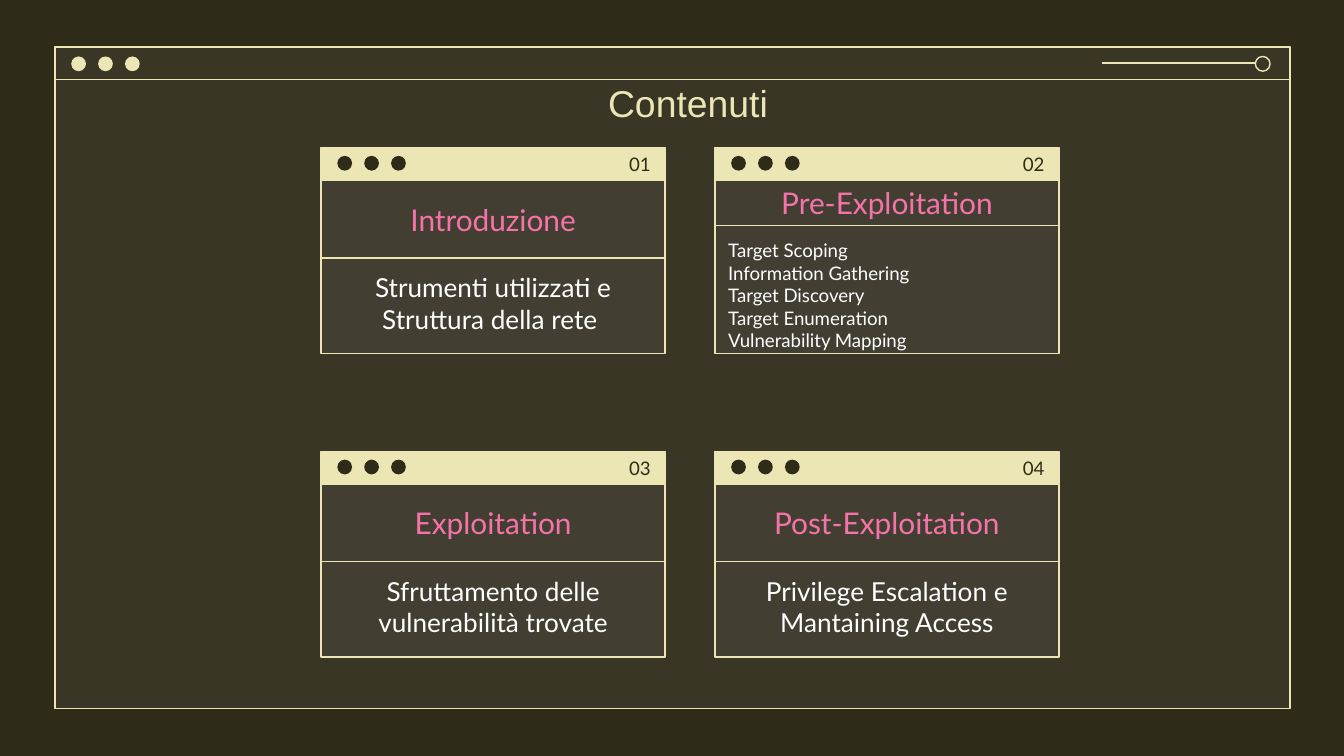
from lxml import etree
from pptx import Presentation
from pptx.dml.color import RGBColor
from pptx.enum.shapes import MSO_CONNECTOR, MSO_SHAPE
from pptx.enum.text import MSO_ANCHOR as Anchor, PP_ALIGN as Align
from pptx.oxml.ns import qn
from pptx.util import Inches, Pt

COLORS = {
    "background": "2F2B19",
    "cream": "ECE5B4",
    "pane": "7C7C7C",
    "pink": "F673A9",
    "white": "FFFFFF",
}
BAR_HEIGHT = 0.24
DOT_SIZE = 0.11
DOT_STEP = 0.2
CARD_WIDTH = 2.56


def rgb(name):
    return RGBColor.from_string(COLORS[name])


def write_text(shape, text, size=14, color="white", font="Lato",
               align=Align.CENTER, anchor=Anchor.TOP, margins=(0.1, 0.1)):
    """Fill a shape with one paragraph per line; margins are (sides, top and bottom)."""
    frame = shape.text_frame
    frame.word_wrap = True
    frame.vertical_anchor = anchor
    frame.margin_left = frame.margin_right = Inches(margins[0])
    frame.margin_top = frame.margin_bottom = Inches(margins[1])
    frame.text = text
    for paragraph in frame.paragraphs:
        paragraph.alignment = align
        for run in paragraph.runs:
            run.font.size = Pt(size)
            run.font.name = font
            run.font.color.rgb = rgb(color)


class WindowSlide:
    """Draws elements in the style of desktop windows on one slide."""

    def __init__(self, slide):
        self.slide = slide
        self.shapes = slide.shapes
        slide.background.fill.solid()
        slide.background.fill.fore_color.rgb = rgb("background")

    def shape(self, kind, left, top, width, height, fill=None, line=None, opacity=None):
        shape = self.shapes.add_shape(
            kind, Inches(left), Inches(top), Inches(width), Inches(height))
        shape.shadow.inherit = False
        if fill:
            shape.fill.solid()
            shape.fill.fore_color.rgb = rgb(fill)
        else:
            shape.fill.background()
        if opacity:
            tint = shape.fill._xPr.find(".//" + qn("a:srgbClr"))
            etree.SubElement(tint, qn("a:alpha"), val=str(opacity * 1000))
        if line:
            shape.line.color.rgb = rgb(line)
            shape.line.width = Pt(0.75)
        else:
            shape.line.fill.background()
        return shape

    def box(self, *place, **style):
        return self.shape(MSO_SHAPE.RECTANGLE, *place, **style)

    def circle(self, left, top, **style):
        return self.shape(MSO_SHAPE.OVAL, left, top, DOT_SIZE, DOT_SIZE, **style)

    def dots(self, left, top, color):
        for index in range(3):
            self.circle(left + index * DOT_STEP, top, fill=color)

    def rule(self, left, right, y):
        rule = self.shapes.add_connector(
            MSO_CONNECTOR.STRAIGHT, Inches(left), Inches(y), Inches(right), Inches(y))
        rule.line.color.rgb = rgb("cream")
        rule.line.width = Pt(0.75)
        etree.SubElement(rule._element.spPr, qn("a:effectLst"))

    def label(self, left, top, width, height, text, **style):
        label = self.shapes.add_textbox(
            Inches(left), Inches(top), Inches(width), Inches(height))
        write_text(label, text, **style)

    def main_window(self):
        left, top, width, height = 0.41, 0.35, 9.19, 4.92
        self.box(left, top, width, height, fill="pane", opacity=14)
        self.box(left, top, width, height, line="cream")
        self.box(left, top, width, BAR_HEIGHT, line="cream")
        self.dots(0.53, 0.42, "cream")
        self.circle(9.34, 0.42, line="cream")
        self.rule(8.2, 9.34, 0.47)

    def card(self, left, top, number, heading, body, heading_height=0.58,
             body_height=0.71, **body_style):
        heading_top = top + BAR_HEIGHT
        body_top = heading_top + heading_height
        full_height = BAR_HEIGHT + heading_height + body_height
        self.box(left, top, CARD_WIDTH, full_height, fill="pane", opacity=14)
        self.box(left, top, CARD_WIDTH, BAR_HEIGHT, fill="cream", line="cream")
        self.dots(left + 0.12, top + 0.06, "background")
        heading_box = self.box(left, heading_top, CARD_WIDTH, heading_height, line="cream")
        write_text(heading_box, heading, size=16, color="pink", anchor=Anchor.MIDDLE)
        body_box = self.box(left, body_top, CARD_WIDTH, body_height, line="cream")
        write_text(body_box, body, **body_style)
        self.label(left + 1.16, top, 1.39, BAR_HEIGHT, number, size=10,
                   color="background", align=Align.RIGHT, anchor=Anchor.MIDDLE)


def main():
    deck = Presentation()
    deck.slide_width = Inches(10)
    deck.slide_height = deck.slide_width * 9 // 16
    page = WindowSlide(deck.slides.add_slide(deck.slide_layouts[6]))
    page.main_window()

    steps = "\n".join(["Target Scoping", "Information Gathering", "Target Discovery",
                       "Target Enumeration", "Vulnerability Mapping"])
    list_style = dict(heading_height=0.34, body_height=0.95, size=10, align=Align.LEFT)
    chapters = [
        ("Introduzione", "Strumenti utilizzati e\nStruttura della rete ", {}),
        ("Pre-Exploitation", steps, list_style),
        ("Exploitation", "Sfruttamento delle vulnerabilità trovate", {}),
        ("Post-Exploitation", "Privilege Escalation e Mantaining Access", {}),
    ]
    for index, (heading, body, style) in enumerate(chapters):
        row, column = divmod(index, 2)
        page.card(2.39 + column * 2.93, 1.1 + row * 2.26, f"{index + 1:02}",
                  heading, body, **style)

    page.label(2.62, 0.55, 5, 0.44, "Contenuti", size=20, color="cream",
               font="Arial", margins=(0.1, 0.05))
    deck.save("out.pptx")


if __name__ == "__main__":
    main()
